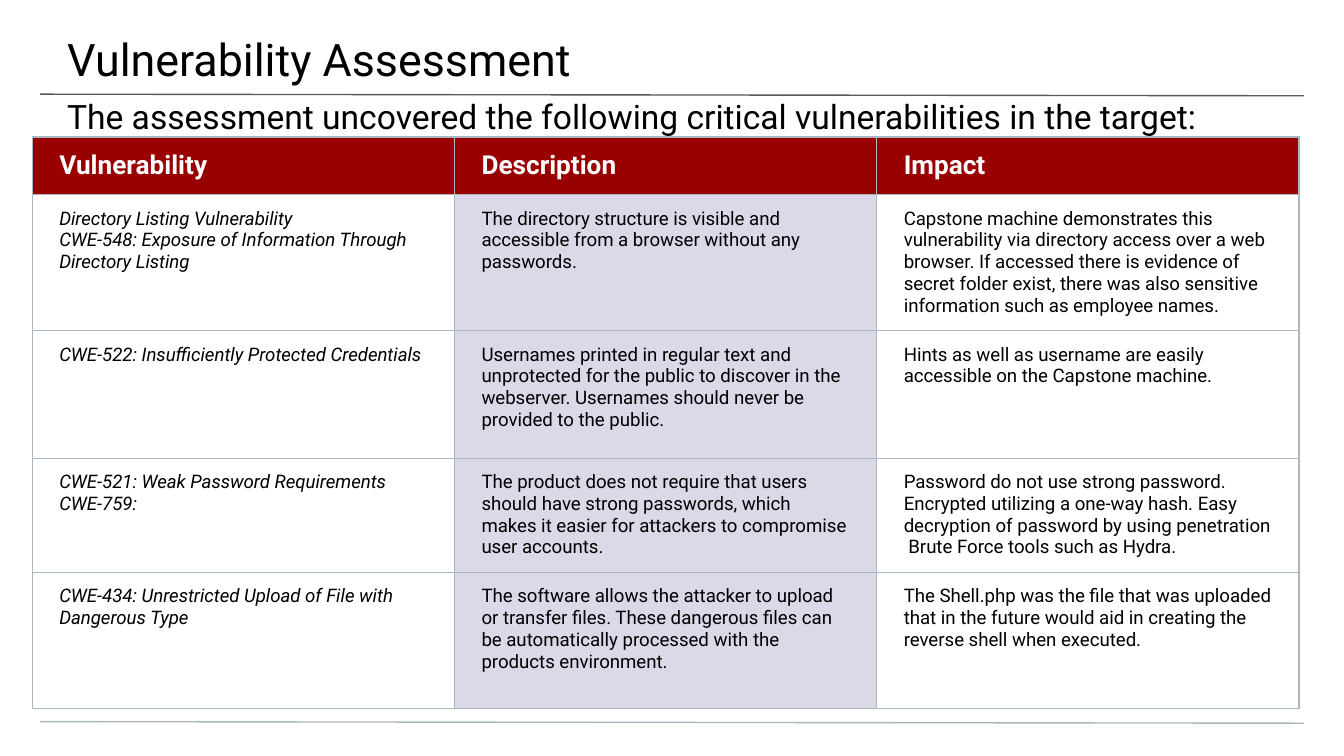
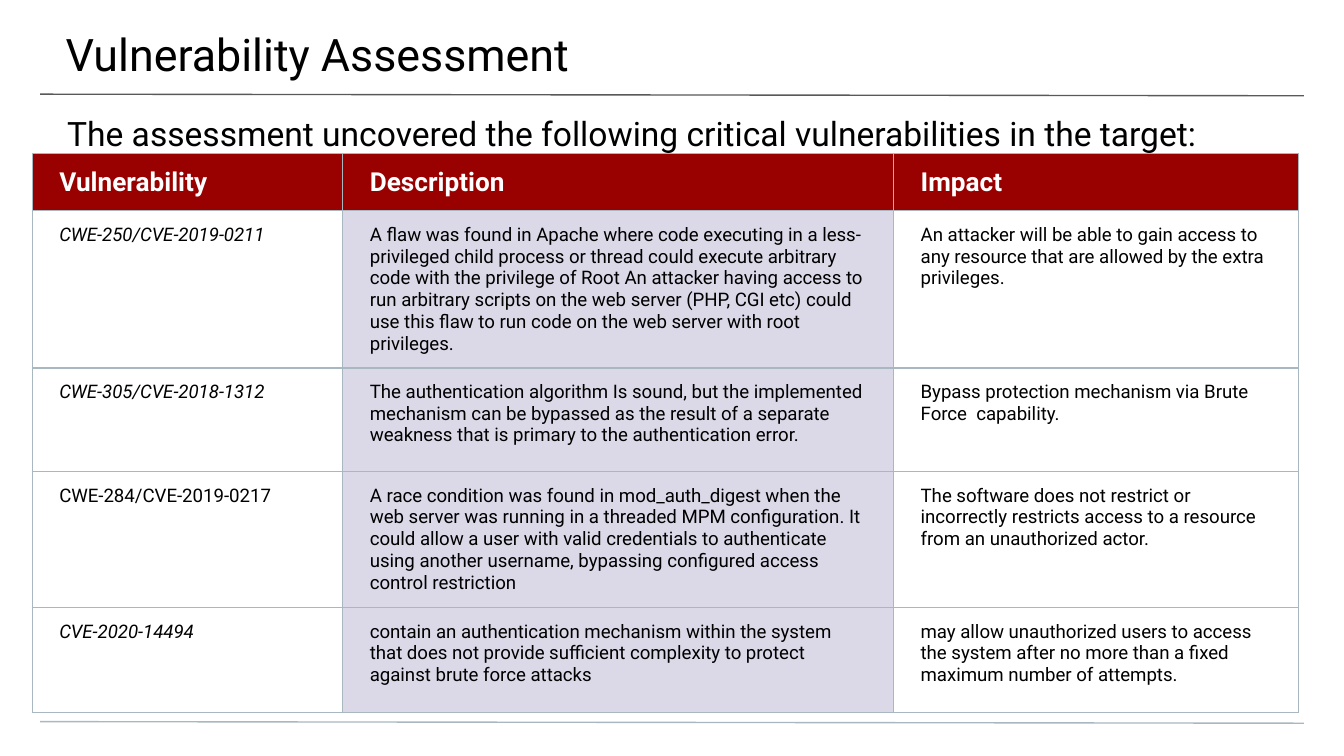
from lxml.etree import SubElement
from pptx import Presentation
from pptx.dml.color import RGBColor
from pptx.enum.shapes import MSO_CONNECTOR
from pptx.enum.text import MSO_ANCHOR, MSO_AUTO_SIZE, PP_ALIGN
from pptx.oxml.ns import qn
from pptx.util import Cm, Pt

BLACK = RGBColor(0x00, 0x00, 0x00)
WHITE = RGBColor(0xFF, 0xFF, 0xFF)
RED = RGBColor(0x99, 0x00, 0x00)
LILAC = RGBColor(0xDB, 0xD9, 0xE8)
GRAY = RGBColor(0x59, 0x59, 0x59)
STEEL = RGBColor(0xA9, 0xB7, 0xC0)

TITLE = "Vulnerability Assessment"
INTRO = "The assessment uncovered the following critical vulnerabilities in the target:"
HEADS = ("Vulnerability", "Description", "Impact")
UPRIGHT = {"CWE-284/CVE-2019-0217"}

RULES = [(1.78, GRAY), (13.64, STEEL)]
LEFT = 0.61
INTRO_H = 1.02
SIDE, EDGE = Cm(0.51), Cm(0.25)

TITLE_FONT = {"name": "Roboto", "size": Pt(24), "color": BLACK}
INTRO_FONT = {"name": "Roboto", "size": Pt(18), "color": BLACK}
HEAD_FONT = {"name": "Roboto", "size": Pt(14), "color": WHITE, "bold": True}
BODY_FONT = {"name": "Roboto", "size": Pt(10), "color": BLACK, "bold": False}

SLIDES = [
    {
        "title_at": (0, 0.08),
        "intro_top": 1.57,
        "cols": (7.98, 7.98, 7.98),
        "heights": (1.09, 2.57, 2.41, 2.16, 2.57),
        "rows": [
            ("Directory Listing Vulnerability\n"
             "CWE-548: Exposure of Information Through Directory Listing",
             "The directory structure is visible and accessible from a browser "
             "without any passwords.",
             "Capstone machine demonstrates this vulnerability via directory access "
             "over a web browser. If accessed there is evidence of secret folder "
             "exist, there was also sensitive information such as employee names."),
            ("CWE-522: Insufficiently Protected Credentials",
             "Usernames printed in regular text and unprotected for the public to "
             "discover in the webserver. Usernames should never be provided to the "
             "public.",
             "Hints as well as username are easily accessible on the Capstone "
             "machine."),
            ("CWE-521: Weak Password Requirements\vCWE-759:",
             "The product does not require that users should have strong passwords, "
             "which makes it easier for attackers to compromise user accounts.",
             "Password do not use strong password. Encrypted utilizing a one-way "
             "hash. Easy decryption of password by using penetration  Brute Force "
             "tools such as Hydra."),
            ("CWE-434: Unrestricted Upload of File with Dangerous Type",
             "The software allows the attacker to upload or transfer files. These "
             "dangerous files can be automatically processed with the products "
             "environment.",
             "The Shell.php was the file that was uploaded that in the future would "
             "aid in creating the reverse shell when executed."),
        ],
    },
    {
        "title_at": (-0.03, 0),
        "intro_top": 1.88,
        "cols": (5.87, 10.41, 7.65),
        "heights": (1.07, 2.97, 1.96, 2.57, 1.98),
        "rows": [
            ("CWE-250/CVE-2019-0211",
             "A flaw was found in Apache where code executing in a less-privileged "
             "child process or thread could execute arbitrary code with the "
             "privilege of Root An attacker having access to run arbitrary scripts "
             "on the web server (PHP, CGI etc) could use this flaw to run code on "
             "the web server with root privileges.",
             "An attacker will be able to gain access to any resource that are "
             "allowed by the extra privileges."),
            ("CWE-305/CVE-2018-1312",
             "The authentication algorithm Is sound, but the implemented mechanism "
             "can be bypassed as the result of a separate weakness that is primary "
             "to the authentication error.",
             "Bypass protection mechanism via Brute Force  capability."),
            ("CWE-284/CVE-2019-0217",
             "A race condition was found in mod_auth_digest when the web server was "
             "running in a threaded MPM configuration. It could allow a user with "
             "valid credentials to authenticate using another username, bypassing "
             "configured access control restriction",
             "The software does not restrict or incorrectly restricts access to a "
             "resource from an unauthorized actor."),
            ("CVE-2020-14494",
             "contain an authentication mechanism within the system that does not "
             "provide sufficient complexity to protect against brute force attacks",
             "may allow unauthorized users to access the system after no more than "
             "a fixed maximum number of attempts."),
        ],
    },
]


def apply(item, values):
    for key, value in values.items():
        setattr(item, key, value)


def write(frame, text, look):
    frame.text = text
    for para in frame.paragraphs:
        para.alignment = PP_ALIGN.LEFT
        for run in para.runs:
            for key, value in look.items():
                if key == "color":
                    run.font.color.rgb = value
                else:
                    setattr(run.font, key, value)


def place(shape, box, text, look, insets):
    apply(shape, dict(zip(("left", "top", "width", "height"), map(Cm, box))))
    frame = shape.text_frame
    names = ("margin_left", "margin_top", "margin_right", "margin_bottom")
    apply(frame, dict(zip(names, map(Cm, insets))))
    apply(frame, {"word_wrap": True, "auto_size": MSO_AUTO_SIZE.NONE,
                  "vertical_anchor": MSO_ANCHOR.TOP})
    write(frame, text, look)


def add_rules(slide, layout):
    """Draw the two thin rules and hand them to the layout all slides share."""
    for top, color in RULES:
        rule = slide.shapes.add_connector(
            MSO_CONNECTOR.STRAIGHT, Cm(0.76), Cm(top), Cm(24.64), Cm(top + 0.03))
        rule.line.color.rgb = color
        rule.line.width = Pt(0.75)
        SubElement(rule.element.spPr, qn("a:effectLst"))
        layout.shapes.element.append(rule.element)


def add_border(cell):
    props = cell._tc.get_or_add_tcPr()
    for side in ("lnL", "lnR", "lnT", "lnB"):
        line = SubElement(props, qn(f"a:{side}"), w=str(Pt(0.75)))
        fill = SubElement(line, qn("a:solidFill"))
        SubElement(fill, qn("a:srgbClr"), val=str(STEEL))


def fill_cell(cell, text, row, col):
    add_border(cell)
    head = row == 0
    apply(cell, {"margin_left": SIDE, "margin_right": SIDE,
                 "margin_top": EDGE, "margin_bottom": EDGE,
                 "vertical_anchor": MSO_ANCHOR.MIDDLE if head else MSO_ANCHOR.TOP})
    cell.fill.solid()
    cell.fill.fore_color.rgb = RED if head else LILAC if col == 1 else WHITE
    slant = col == 0 and text not in UPRIGHT
    write(cell.text_frame, text, HEAD_FONT if head else {**BODY_FONT, "italic": slant})


def add_grid(slide, data):
    cols, heights = data["cols"], data["heights"]
    top = data["intro_top"] + INTRO_H
    table = slide.shapes.add_table(
        len(heights), len(cols), Cm(LEFT), Cm(top),
        Cm(sum(cols)), Cm(sum(heights))).table
    apply(table, {"first_row": False, "horz_banding": False})
    for col, width in zip(table.columns, cols):
        col.width = Cm(width)
    for row, height in zip(table.rows, heights):
        row.height = Cm(height)
    for r, texts in enumerate([HEADS, *data["rows"]]):
        for c, text in enumerate(texts):
            fill_cell(table.cell(r, c), text, r, c)


def main():
    deck = Presentation()
    apply(deck, {"slide_width": Cm(25.4), "slide_height": Cm(14.29)})
    layout = deck.slide_layouts[5]
    for data in SLIDES:
        slide = deck.slides.add_slide(layout)
        place(slide.shapes.title, (*data["title_at"], 25.48, 1.47),
              TITLE, TITLE_FONT, (1.27, 0.51, 0.76, 0.25))
        intro = slide.shapes.add_textbox(0, 0, 0, 0)
        place(intro, (0, data["intro_top"], 25.4, INTRO_H),
              INTRO, INTRO_FONT, (1.27, 0.25, 1.27, 0))
        add_grid(slide, data)
    add_rules(deck.slides[0], layout)
    deck.save("out.pptx")


if __name__ == "__main__":
    main()
